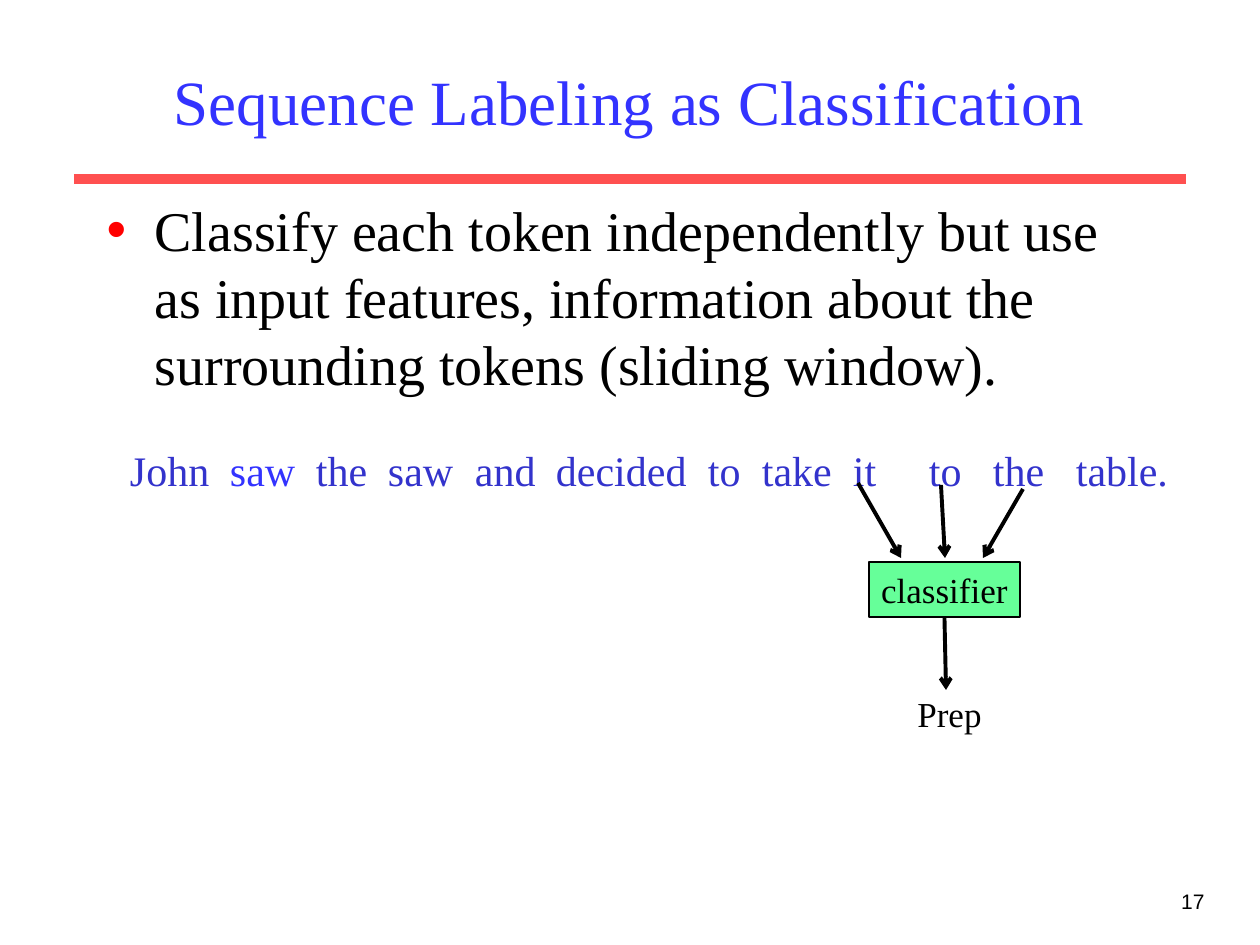
from dataclasses import dataclass
from typing import Optional

from lxml.etree import SubElement
from pptx import Presentation
from pptx.dml.color import RGBColor
from pptx.enum.shapes import MSO_CONNECTOR, MSO_SHAPE
from pptx.enum.text import MSO_ANCHOR, MSO_AUTO_SIZE, PP_ALIGN
from pptx.oxml.ns import qn
from pptx.util import Emu, Pt

PX_PER_INCH = 126
SERIF = "Times New Roman"
BLACK = "000000"
TITLE_BLUE = "3333FF"
WORD_BLUE = "3333CC"


@dataclass(frozen=True)
class Word:
    """A word of the sentence and its left edge in px."""
    text: str
    x: int
    color: str = WORD_BLUE


@dataclass(frozen=True)
class Line:
    """A straight line in px, optionally leaving a shape's side."""
    x1: int
    y1: int
    x2: int
    y2: int
    color: str = BLACK
    width: float = 2.25
    arrow: bool = True
    source: Optional[object] = None
    site: int = 2


@dataclass(frozen=True)
class Label:
    """A single-line text with its box in px."""
    text: str
    x: int
    y: int
    w: int
    h: int
    size: int = 20
    font: str = SERIF
    align: PP_ALIGN = PP_ALIGN.CENTER


SENTENCE = [
    Word("John", 130), Word("saw", 230, TITLE_BLUE), Word("the", 316),
    Word("saw", 388), Word("and", 475), Word("decided", 556),
    Word("to", 708), Word("take", 762), Word("it", 853),
    Word("to", 929), Word("the", 993), Word("table.", 1076),
]


def px(n: int) -> Emu:
    """Turn px into EMU."""
    return Emu(round(n * 914400 / PX_PER_INCH))


def rgb(color: str) -> RGBColor:
    """Turn a hex string into a colour."""
    return RGBColor.from_string(color)


def set_attrs(obj, values: dict) -> None:
    """Set each attribute of obj from a dict."""
    for name, value in values.items():
        setattr(obj, name, value)


def place(shape, x: int, y: int, w: int, h: int) -> None:
    """Move and size a shape."""
    set_attrs(shape, {"left": px(x), "top": px(y), "width": px(w), "height": px(h)})


def set_font(font, size: int, color: str = BLACK, name: str = SERIF) -> None:
    """Format a font."""
    set_attrs(font, {"size": Pt(size), "name": name})
    font.color.rgb = rgb(color)


def fill_label(shape, label: Label) -> None:
    """Write a label into a shape."""
    tf = shape.text_frame
    set_attrs(tf, {"word_wrap": False, "auto_size": MSO_AUTO_SIZE.NONE})
    p = tf.paragraphs[0]
    p.alignment = label.align
    r = p.add_run()
    r.text = label.text
    set_font(r.font, label.size, name=label.font)


def add_label(s, label: Label) -> None:
    """Add a plain text label."""
    fill_label(s.shapes.add_textbox(*map(px, (label.x, label.y, label.w, label.h))), label)


def add_box(s, label: Label, fill: str):
    """Add a filled rectangle with a label."""
    sp = s.shapes.add_shape(MSO_SHAPE.RECTANGLE,
                            *map(px, (label.x, label.y, label.w, label.h)))
    sp.shadow.inherit = False
    sp.fill.solid()
    sp.fill.fore_color.rgb = rgb(fill)
    sp.line.color.rgb = rgb(BLACK)
    sp.line.width = Pt(1)
    fill_label(sp, label)
    sp.text_frame.vertical_anchor = MSO_ANCHOR.MIDDLE
    return sp


def add_line(s, line: Line) -> None:
    """Add a line or an arrow."""
    cx = s.shapes.add_connector(MSO_CONNECTOR.STRAIGHT,
                                *map(px, (line.x1, line.y1, line.x2, line.y2)))
    if line.source is not None:
        cx.begin_connect(line.source, line.site)
    cx.line.color.rgb = rgb(line.color)
    cx.line.width = Pt(line.width)
    if line.arrow:
        SubElement(cx.line._get_or_add_ln(), qn("a:tailEnd"), type="arrow")
    SubElement(cx._element.spPr, qn("a:effectLst"))


def add_title(s, text: str) -> None:
    """Fill the title placeholder."""
    sp = s.shapes.title
    place(sp, 94, 32, 1071, 136)
    tf = sp.text_frame
    tf.text = text
    set_attrs(tf, {"vertical_anchor": MSO_ANCHOR.MIDDLE, "auto_size": MSO_AUTO_SIZE.NONE})
    p = tf.paragraphs[0]
    p.alignment = PP_ALIGN.CENTER
    set_font(p.runs[0].font, 36, TITLE_BLUE)


def add_bullet(s, text: str) -> None:
    """Fill the body placeholder with one bulleted paragraph."""
    sp = s.placeholders[1]
    place(sp, 94, 189, 1071, 646)
    tf = sp.text_frame
    tf.text = text
    tf.auto_size = MSO_AUTO_SIZE.NONE
    p = tf.paragraphs[0]
    p.space_before = Pt(0)
    pPr = p._p.get_or_add_pPr()
    pPr.set("marL", str(px(48)))
    pPr.set("indent", str(-px(48)))
    SubElement(SubElement(pPr, qn("a:buClr")), qn("a:srgbClr"), val="FF0000")
    SubElement(pPr, qn("a:buChar"), char="•")
    set_font(p.runs[0].font, 32)


def add_sentence(s, words: list[Word]) -> None:
    """Write the words in one paragraph, each at its own tab stop."""
    left = words[0].x
    sp = s.shapes.add_textbox(px(left), px(438), px(1060), px(63))
    tf = sp.text_frame
    set_attrs(tf, {"word_wrap": True, "margin_left": 0, "margin_right": 0})
    p = tf.paragraphs[0]
    tabs = SubElement(p._p.get_or_add_pPr(), qn("a:tabLst"))
    for i, word in enumerate(words):
        if i:
            SubElement(tabs, qn("a:tab"), pos=str(px(word.x - left)), algn="l")
        r = p.add_run()
        r.text = "\t" + word.text if i else word.text
        set_font(r.font, 24, word.color)


def main() -> None:
    """Build the slide."""
    prs = Presentation()
    set_attrs(prs, {"slide_width": px(1260), "slide_height": px(945)})
    s = prs.slides.add_slide(prs.slide_layouts[1])
    add_line(s, Line(74, 179, 1186, 179, "FF5050", 6, arrow=False))
    add_label(s, Label("17", 955, 882, 262, 63, 12, "Arial", PP_ALIGN.RIGHT))
    add_title(s, "Sequence Labeling as Classification")
    add_bullet(s, "Classify each token independently but use as input features, "
                  "information about the surrounding tokens (sliding window).")
    add_sentence(s, SENTENCE)
    box = add_box(s, Label("classifier", 869, 562, 151, 55), "66FF99")
    for line in (
        Line(858, 483, 901, 558),
        Line(1023, 489, 983, 558),
        Line(941, 485, 945, 558),
        Line(945, 617, 946, 690, source=box),
    ):
        add_line(s, line)
    add_label(s, Label("Prep", 905, 686, 89, 55))
    prs.save("out.pptx")


if __name__ == "__main__":
    main()
